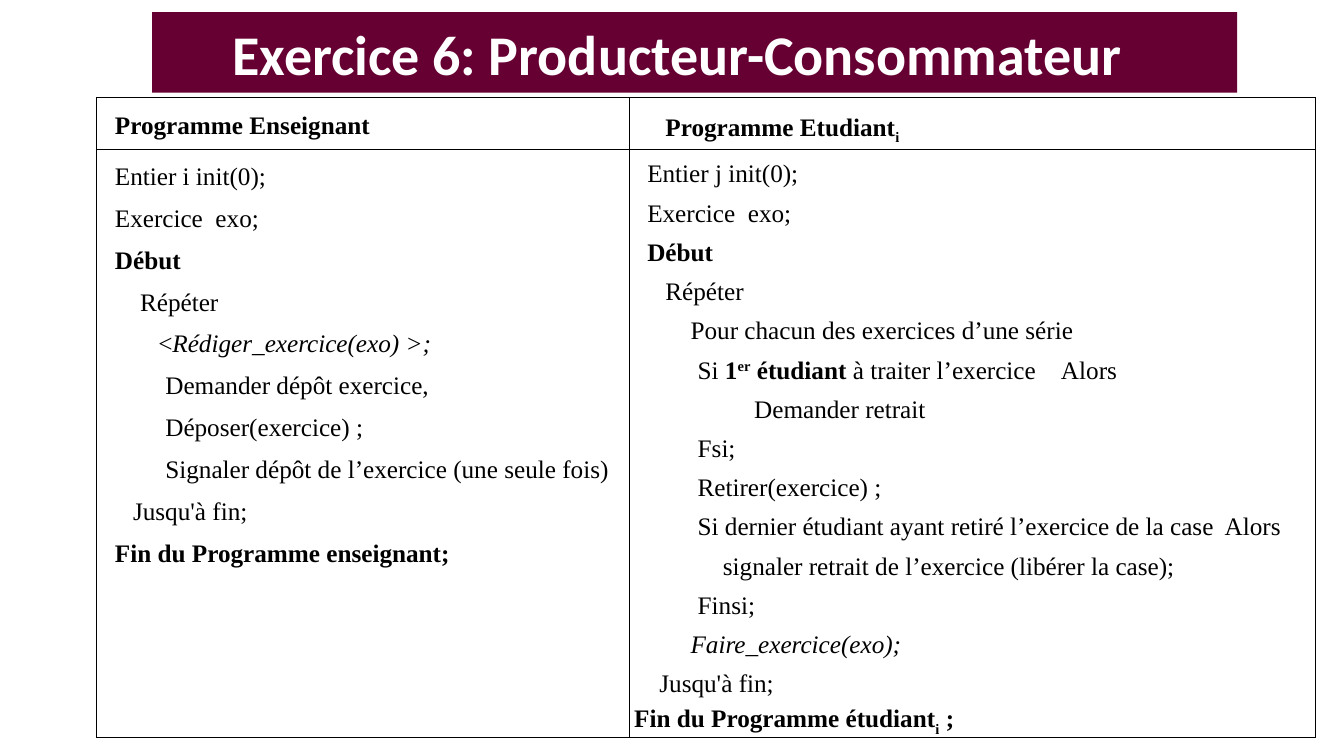
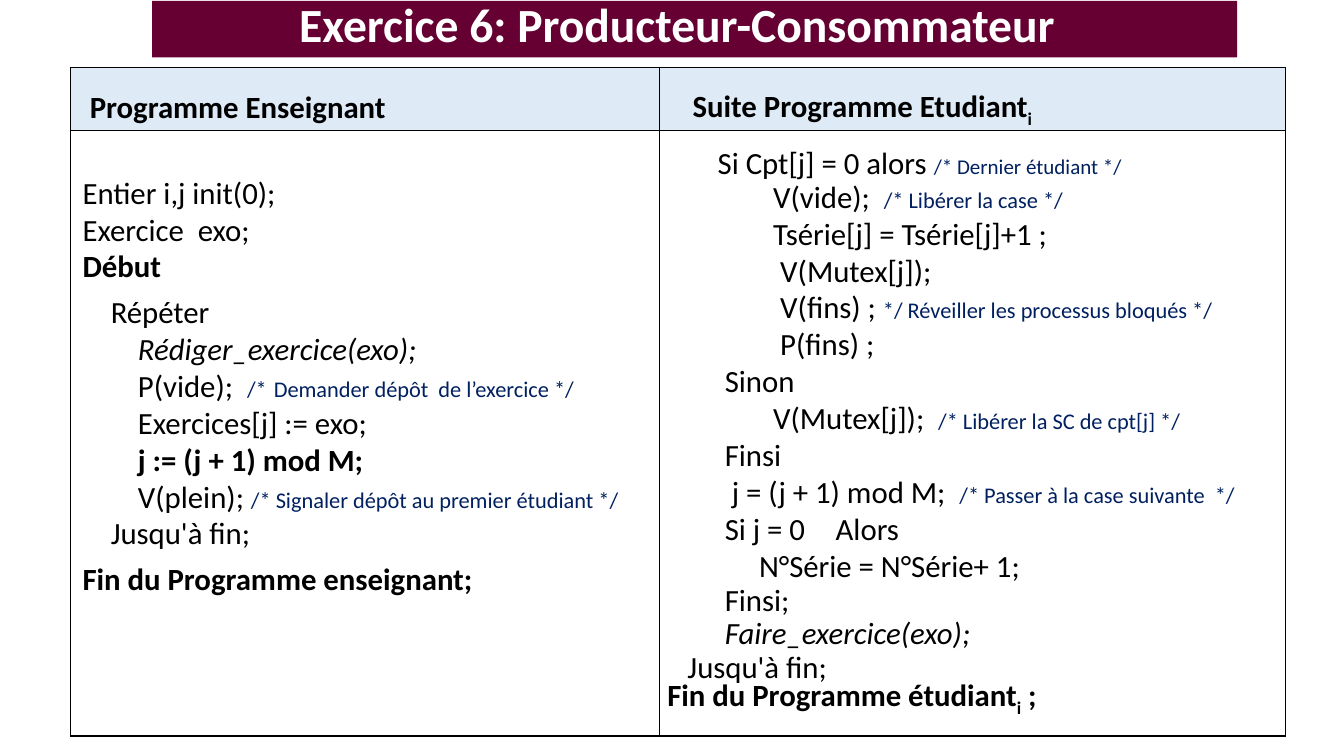
from pptx import Presentation, util as u
from pptx.dml.color import RGBColor
from pptx.enum import text as t
from pptx.oxml import parse_xml
from pptx.oxml.ns import nsdecls

inch, rgb = u.Inches, RGBColor.from_string
INK, WINE, NAVY, PALE, WHITE = "000000", "660033", "002060", "DEEBF7", "FFFFFF"
SERIF, SANS = "Times New Roman", "Calibri"
NOTE = {"c": 16, "d": 15}      # comment sizes
BASE = {"s": -25000, "u": 30000}  # subscript, superscript


def write(frame, lines, font, size, gap=1.0):
    """Each line: left indent, runs as (text, marks), then optional spacing."""
    frame.word_wrap = True
    for n, (left, runs, *more) in enumerate(lines):
        par = frame.paragraphs[0] if n == 0 else frame.add_paragraph()
        props = par._p.get_or_add_pPr()
        props.set("marL", str(inch(left)))
        props.set("indent", "0")
        par.alignment = t.PP_ALIGN.LEFT
        par.line_spacing = more[0] if more else gap
        par.space_after = u.Pt(more[1] if len(more) > 1 else 0)
        for words, marks in runs:
            run = par.add_run()
            run.text = words
            face = run.font
            face.name, face.size = font, u.Pt(size)
            face.bold, face.italic = "b" in marks, "i" in marks
            face.color.rgb = rgb(INK)
            for m in marks:
                if m in NOTE:
                    face.size = u.Pt(NOTE[m])
                    face.color.rgb = rgb(NAVY)
                if m in BASE:
                    run._r.get_or_add_rPr().set("baseline", str(BASE[m]))


def grid(slide, box, cols, rows, head=None):
    """Two by two table with thin black borders."""
    tab = slide.shapes.add_table(2, 2, *map(inch, box)).table
    tab.first_row = tab.horz_banding = False
    for n in range(2):
        tab.columns[n].width = inch(cols[n])
        tab.rows[n].height = inch(rows[n])
    for n, cell in enumerate(tab.iter_cells()):
        cell.margin_left = cell.margin_right = inch(0.05)
        cell.margin_top = cell.margin_bottom = 0
        props = cell._tc.get_or_add_tcPr()
        for side in "LRTB":
            props.append(parse_xml(
                f'<a:ln{side} {nsdecls("a")} w="12700"><a:solidFill>'
                f'<a:srgbClr val="{INK}"/></a:solidFill></a:ln{side}>'))
        if head and n < 2:
            cell.fill.solid()
            cell.fill.fore_color.rgb = rgb(head)
            cell.vertical_anchor = t.MSO_ANCHOR.MIDDLE
        else:
            cell.fill.background()
    return tab


deck = Presentation()
deck.slide_width, deck.slide_height = inch(13.33), inch(7.5)

# Title bands
slides = []
for top, high, size in ((0.12, 0.8, 40), (0.01, 0.56, 34)):
    slide = deck.slides.add_slide(deck.slide_layouts[5])
    band = slide.shapes.title
    band.left, band.top, band.width, band.height = map(
        inch, (1.51, top, 10.76, high))
    band.fill.solid()
    band.fill.fore_color.rgb = rgb(WINE)
    frame = band.text_frame
    frame.auto_size = t.MSO_AUTO_SIZE.NONE
    frame.vertical_anchor = t.MSO_ANCHOR.BOTTOM
    frame.margin_right = inch(0.45)
    write(frame, [(0, [("Exercice 6: Producteur-Consommateur", "b")])],
          SANS, size, 0.9)
    par = frame.paragraphs[0]
    par.alignment = t.PP_ALIGN.CENTER
    par.runs[0].font.color.rgb = rgb(WHITE)
    slides.append(slide)
first, second = slides

# Slide 1: outline of both programs
tab = grid(first, (0.96, 0.97, 12.09, 6.34), (5.28, 6.81), (0.51, 5.83))
write(tab.cell(0, 0).text_frame,
      [(0.13, [("Programme Enseignant", "b")])], SERIF, 18, 1.5)
write(tab.cell(0, 1).text_frame,
      [(0.31, [("Programme Etudiant", "b"), ("i", "bs")])], SERIF, 18, 1.5)
write(tab.cell(1, 0).text_frame, [
    (0.13, [("Entier i init(0);", "")]),
    (0.13, [("Exercice  exo;", "")]),
    (0.13, [("Début", "b")]),
    (0.38, [("Répéter", "")]),
    (0.56, [("<", ""), ("Rédiger_exercice(exo)\u00a0>;", "i")]),
    (0.63, [("Demander dépôt exercice,", "")]),
    (0.63, [("Déposer(exercice)\u00a0;", "")]),
    (0.63, [("Signaler dépôt de l’exercice (une seule fois)", "")]),
    (0.31, [("Jusqu'à fin;", "")]),
    (0.13, [("Fin du Programme enseignant;", "b")]),
], SERIF, 18, 1.5)
write(tab.cell(1, 1).text_frame, [
    (0.13, [("Entier j init(0);", "")]),
    (0.13, [("Exercice  exo;", "")]),
    (0.13, [("Début", "b")]),
    (0.31, [("Répéter", "")]),
    (0.56, [("Pour chacun des exercices d’une série", "")]),
    (0.63, [("Si ", ""), ("1", "b"), ("er", "bu"), (" étudiant", "b"),
            (" à traiter l’exercice\u2003Alors", "")]),
    (1.19, [("Demander retrait", "")]),
    (0.63, [("Fsi;", "")]),
    (0.63, [("Retirer(exercice)\u00a0;", "")]),
    (0.63, [("Si dernier étudiant ayant retiré l’exercice de la case  Alors",
             "")]),
    (0.88, [("signaler retrait de l’exercice (libérer la case);", "")]),
    (0.63, [("Finsi;", "")]),
    (0.56, [("Faire_exercice(exo);", "i")]),
    (0.25, [("Jusqu'à fin;", "")]),
    (0, [("Fin du Programme étudiant", "b"), ("i", "bs"), ("\u00a0;", "b")]),
], SERIF, 18, u.Pt(28))

# Slide 2: programs with semaphores
tab = grid(second, (0.7, 0.67, 12.05, 6.63), (5.84, 6.21), (0.62, 6.01), PALE)
write(tab.cell(0, 0).text_frame,
      [(0.14, [("Programme Enseignant", "b")])], SANS, 22, 1.5)
write(tab.cell(0, 1).text_frame,
      [(0.28, [("Suite Programme Etudiant", "b"), ("i", "bs")])],
      SANS, 22, 1.5)

# Teacher code
box = second.shapes.add_textbox(*map(inch, (0.62, 1.67, 6.59, 4.34)))
write(box.text_frame, [
    (0.1, [("Entier i,j init(0);", "")]),
    (0.1, [("Exercice  exo;", "")]),
    (0.1, [("Début", "b")], 1.0, 6),
    (0.38, [("Répéter", "")]),
    (0.65, [("Rédiger_exercice(exo);", "i")]),
    (0.65, [("P(vide);\u00a0 ", ""), ("/*", "c"), (" ", ""),
            ("Demander dépôt  de l’exercice */", "c")]),
    (0.65, [("Exercices[j]\u00a0:= exo;", "")]),
    (0.65, [("j := (j + 1) mod M;", "b")]),
    (0.65, [("V(plein); ", ""),
            ("/* Signaler dépôt au premier étudiant */", "c")]),
    (0.38, [("Jusqu'à fin;", "")], 1.0, 6),
    (0.1, [("Fin du Programme enseignant;", "b")]),
], SANS, 22)

# Student code
box = second.shapes.add_textbox(*map(inch, (6.52, 1.41, 5.95, 5.8)))
tight = u.Pt(24)
write(box.text_frame, [
    (0.5, [("Si Cpt[j]\u00a0= 0 alors ", ""),
           ("/* Dernier étudiant */", "d")], tight),
    (1.05, [("V(vide);  ", ""), ("/* Libérer la case */", "c")], tight),
    (1.05, [("Tsérie[j] = Tsérie[j]+1\u00a0;", "")]),
    (1.12, [("V(Mutex[j]);", "")]),
    (1.12, [("V(fins)\u00a0; ", ""),
            ("*/ Réveiller les processus bloqués */", "c")]),
    (1.12, [("P(fins)\u00a0;", "")]),
    (0.57, [("Sinon", "")]),
    (1.05, [("V(Mutex[j]);  ", ""), ("/* Libérer la SC de cpt[j] */", "c")]),
    (0.57, [("Finsi", "")]),
    (0.64, [("j = (j + 1) mod M;\u00a0 ", ""),
            ("/* Passer à la case suivante  */", "c")]),
    (0.57, [("Si j = 0\u2003Alors", "")]),
    (0.91, [("N°Série = N°Série+ 1;", "")]),
    (0.57, [("Finsi;", "")], tight),
    (0.57, [("Faire_exercice(exo);", "i")], tight),
    (0.2, [("Jusqu'à fin;", "")], tight),
    (0, [("Fin du Programme étudiant", "b"), ("i", "bs"),
         ("\u00a0;", "b")], tight),
], SANS, 22)

deck.save("out.pptx")
